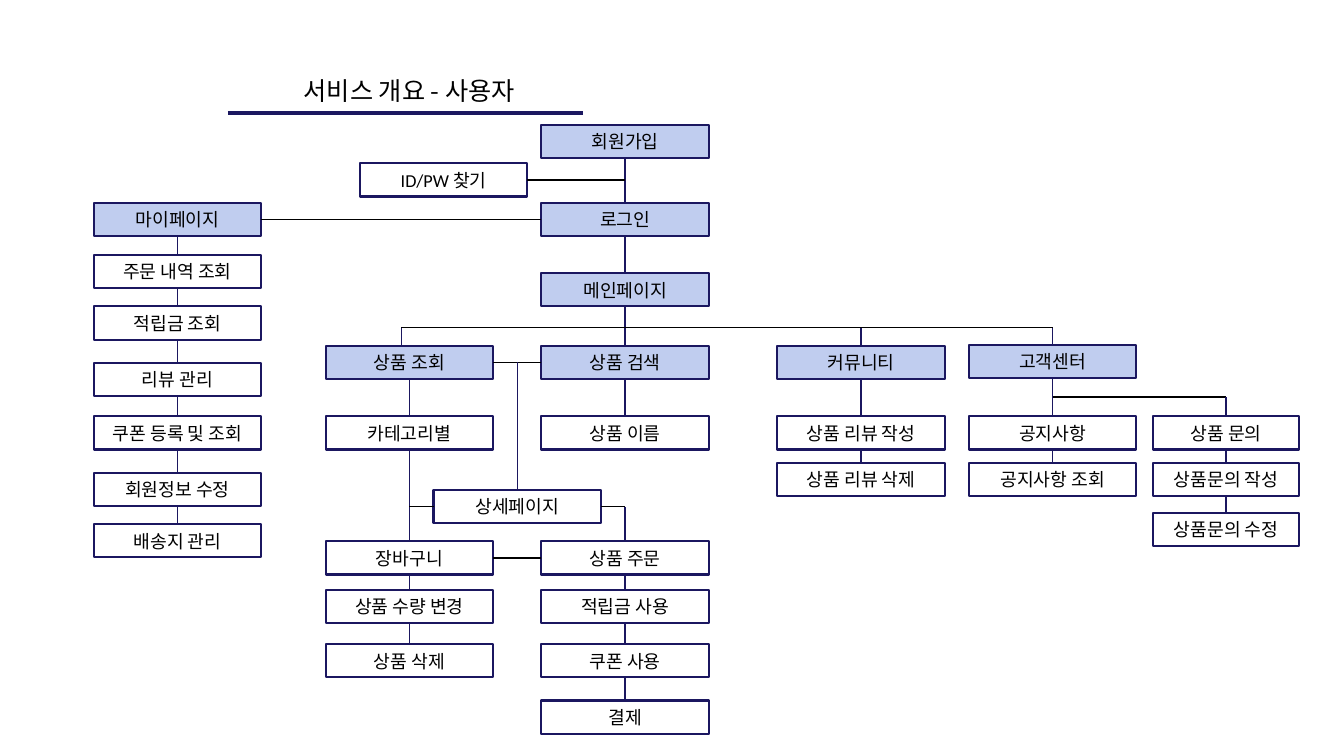
from lxml.etree import SubElement
from pptx import Presentation
from pptx.dml.color import RGBColor
from pptx.enum.shapes import MSO_CONNECTOR as Connector, MSO_SHAPE as Shape
from pptx.enum.text import MSO_ANCHOR as Anchor, PP_ALIGN as Align
from pptx.oxml.ns import qn
from pptx.util import Inches, Pt

NAVY, SKY, WHITE, BLACK = "1B1760", "C0CDEF", "FFFFFF", "000000"
KOREAN_FONT = "Noto Sans CJK KR"
TOP, LEFT, BOTTOM, RIGHT = range(4)
BOX_W, INQUIRY_W, BOX_H = 1.66, 1.44, 0.33

# Column left edges
MY_PAGE, PRODUCTS, MAIN, COMMUNITY, SUPPORT, INQUIRY = 0.93, 3.23, 5.37, 7.71, 9.61, 11.44
# Row top edges shared between columns
LOGIN, MENU, SUBMENU, THIRD = 2.01, 3.43, 4.13, 4.59
ORDER, ORDER_2, ORDER_3, ORDER_4 = 5.37, 5.85, 6.39, 6.95
BUS_Y, PRODUCTS_DROP_X, INQUIRY_Y = 3.25, 3.98, 3.94


def color(hex_code):
    return RGBColor.from_string(hex_code)


def write(frame, text, size=13, font="Calibri", ink=BLACK, anchor=Anchor.MIDDLE):
    frame.word_wrap = True
    frame.vertical_anchor = anchor
    frame.margin_top = frame.margin_bottom = 0
    paragraph = frame.paragraphs[0]
    paragraph.alignment = Align.CENTER
    run = paragraph.add_run()
    run.text = text
    run.font.size = Pt(size)
    run.font.name = font
    run.font.color.rgb = color(ink)
    SubElement(run.font._element, qn("a:ea")).set("typeface", KOREAN_FONT)


def page_box(slide, left, top, text, width=BOX_W, fill=WHITE, font="Calibri"):
    box = slide.shapes.add_shape(
        Shape.RECTANGLE, Inches(left), Inches(top), Inches(width), Inches(BOX_H))
    box.shadow.inherit = False
    box.fill.solid()
    box.fill.fore_color.rgb = color(fill)
    box.line.color.rgb = color(NAVY)
    box.line.width = Pt(1.5)
    write(box.text_frame, text, font=font)
    return box


def link(slide, start=(0, 0), end=(0, 0), begin=None, finish=None, ink=NAVY, width=1):
    """Join two points; begin and finish are (box, side) pairs that override a point."""
    line = slide.shapes.add_connector(
        Connector.STRAIGHT, *(Inches(value) for value in (*start, *end)))
    if begin:
        line.begin_connect(*begin)
    if finish:
        line.end_connect(*finish)
    line.line.color.rgb = color(ink)
    line.line.width = Pt(width)
    SubElement(line._element.spPr, qn("a:effectLst"))


def column(slide, left, rows, heads=1, width=BOX_W):
    """Stack (top, text) rows, tint the first ones and chain them downwards."""
    boxes = [page_box(slide, left, top, text, width, SKY if index < heads else WHITE)
             for index, (top, text) in enumerate(rows)]
    for upper, lower in zip(boxes, boxes[1:]):
        link(slide, begin=(upper, BOTTOM), finish=(lower, TOP))
    return boxes


def heading(slide, left, top, width, height):
    title = slide.shapes.title
    title.left, title.top, title.width, title.height = map(Inches, (left, top, width, height))
    write(title.text_frame, "서비스 개요 - 사용자", size=18, font=KOREAN_FONT)
    rule_y = top + height + 0.03
    link(slide, (left - 0.03, rule_y), (left + width - 0.05, rule_y), width=3)


def account_area(slide):
    """Sign-up, login and my page; returns the main column's boxes."""
    main = column(slide, MAIN, [
        (1.24, "회원가입"), (LOGIN, "로그인"), (2.71, "메인페이지"),
        (MENU, "상품 검색"), (SUBMENU, "상품 이름")], heads=4)
    find_id = page_box(slide, 3.57, 1.62, "ID/PW 찾기")
    link(slide, begin=(find_id, RIGHT), end=(MAIN + BOX_W / 2, 1.62 + BOX_H / 2), ink=BLACK)
    my_page = column(slide, MY_PAGE, [
        (LOGIN, "마이페이지"), (2.53, "주문 내역 조회"), (3.04, "적립금 조회"),
        (3.6, "리뷰 관리"), (SUBMENU, "쿠폰 등록 및 조회"),
        (4.69, "회원정보 수정"), (5.2, "배송지 관리")])
    link(slide, begin=(main[1], LEFT), finish=(my_page[0], RIGHT), ink=BLACK)
    return main


def shopping_area(slide, search):
    """Product list, detail page, cart and order."""
    products = column(slide, PRODUCTS, [
        (MENU, "상품 조회"), (SUBMENU, "카테고리별"), (ORDER, "장바구니"),
        (ORDER_2, "상품 수량 변경"), (ORDER_3, "상품 삭제")])
    order = column(slide, MAIN, [
        (ORDER, "상품 주문"), (ORDER_2, "적립금 사용"),
        (ORDER_3, "쿠폰 사용"), (ORDER_4, "결제")], heads=0)
    link(slide, begin=(search, LEFT), finish=(products[0], RIGHT), ink=BLACK)
    link(slide, begin=(order[0], LEFT), finish=(products[2], RIGHT), ink=BLACK)

    detail_left, detail_top = (PRODUCTS + MAIN) / 2, 4.86
    detail = page_box(slide, detail_left, detail_top, "상세페이지")
    detail_y = detail_top + BOX_H / 2
    order_x = MAIN + BOX_W / 2
    link(slide, (detail_left + BOX_W / 2, MENU + BOX_H / 2), finish=(detail, TOP))
    link(slide, begin=(detail, LEFT), end=(PRODUCTS + BOX_W / 2, detail_y), ink=BLACK)
    link(slide, begin=(detail, RIGHT), end=(order_x, detail_y), ink=BLACK)
    link(slide, (order_x, detail_y), finish=(order[0], TOP))


def service_area(slide):
    """Community, support and inquiries, with the bus that feeds the menu row."""
    community = column(slide, COMMUNITY, [
        (MENU, "커뮤니티"), (SUBMENU, "상품 리뷰 작성"), (THIRD, "상품 리뷰 삭제")])
    support = column(slide, SUPPORT, [
        (3.42, "고객센터"), (SUBMENU, "공지사항"), (THIRD, "공지사항 조회")])
    inquiry = column(slide, INQUIRY, [
        (SUBMENU, "상품 문의"), (THIRD, "상품문의 작성"), (5.09, "상품문의 수정")],
        heads=0, width=INQUIRY_W)

    community_x, support_x = COMMUNITY + BOX_W / 2, SUPPORT + BOX_W / 2
    inquiry_x = INQUIRY + INQUIRY_W / 2
    link(slide, (PRODUCTS_DROP_X, BUS_Y), (support_x, BUS_Y), ink=BLACK)
    link(slide, (PRODUCTS_DROP_X, BUS_Y), (PRODUCTS_DROP_X, MENU))
    link(slide, (community_x, BUS_Y), finish=(community[0], TOP))
    link(slide, (support_x, BUS_Y), finish=(support[0], TOP))
    link(slide, (support_x, INQUIRY_Y), (inquiry_x, INQUIRY_Y), ink=BLACK)
    link(slide, (inquiry_x, INQUIRY_Y), finish=(inquiry[0], TOP))


def main():
    deck = Presentation()
    deck.slide_width, deck.slide_height = Inches(13.33), Inches(7.5)
    slide = deck.slides.add_slide(deck.slide_layouts[5])
    heading(slide, 2.29, 0.7, 3.54, 0.39)
    main_column = account_area(slide)
    shopping_area(slide, search=main_column[3])
    service_area(slide)
    deck.save("out.pptx")


if __name__ == "__main__":
    main()
